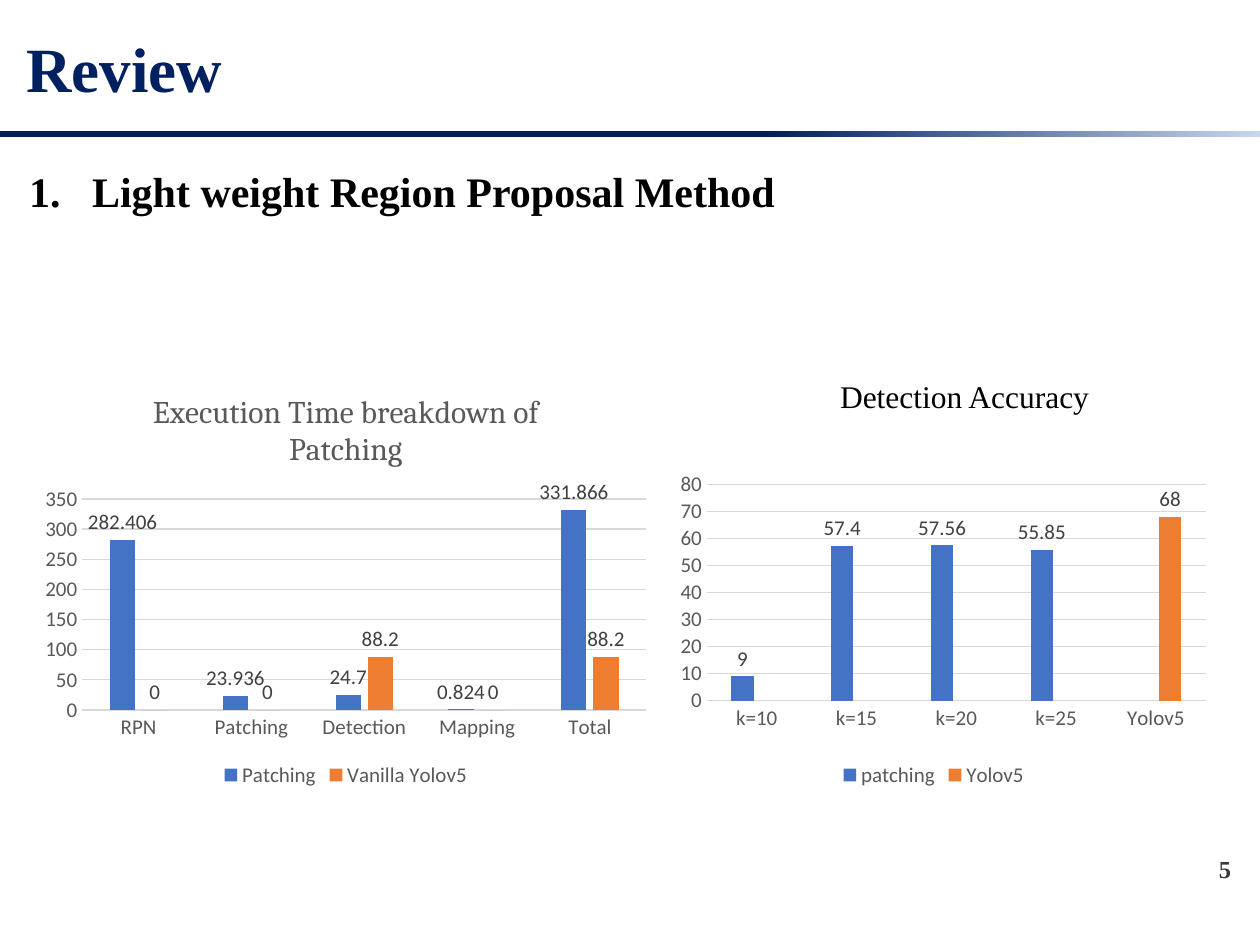
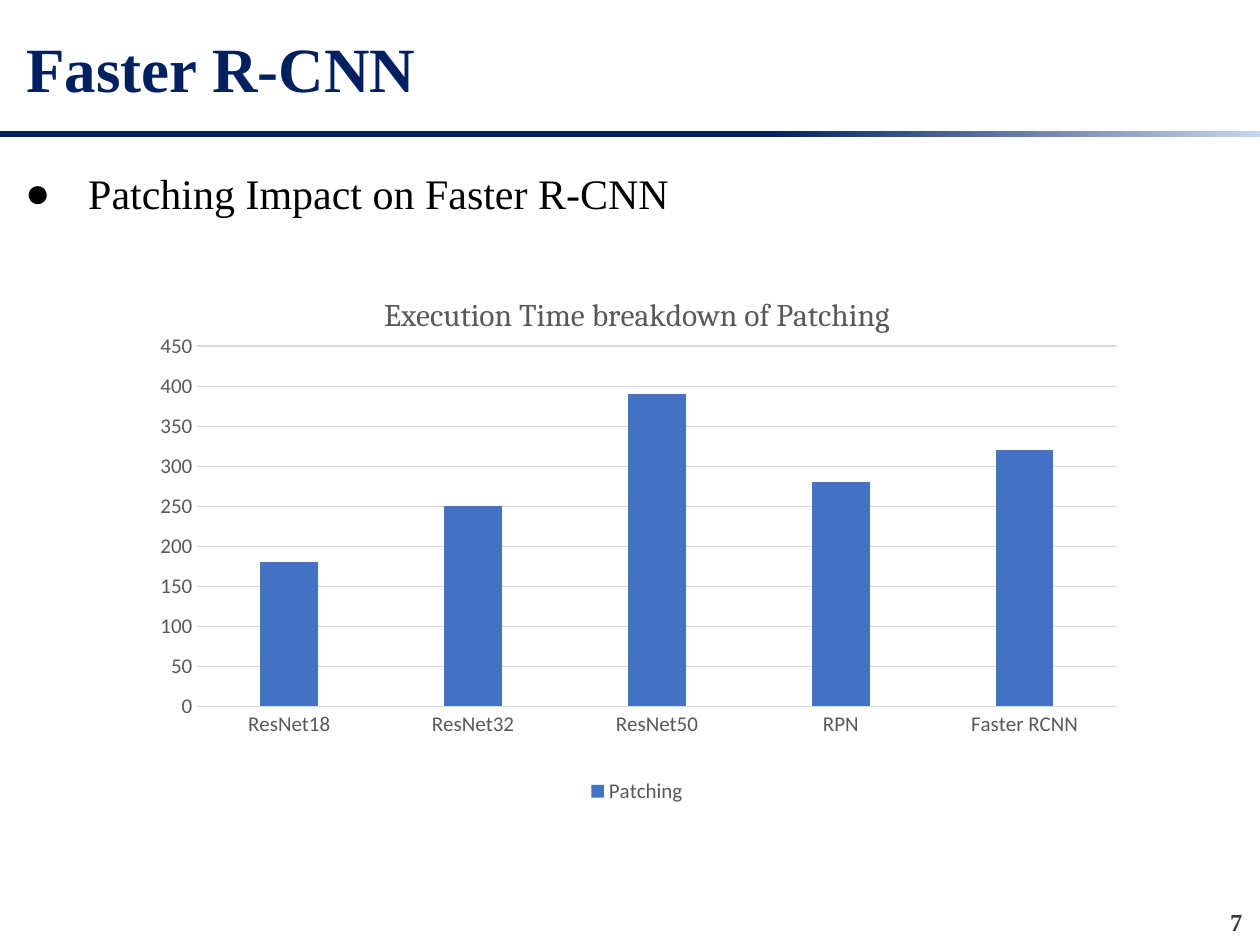
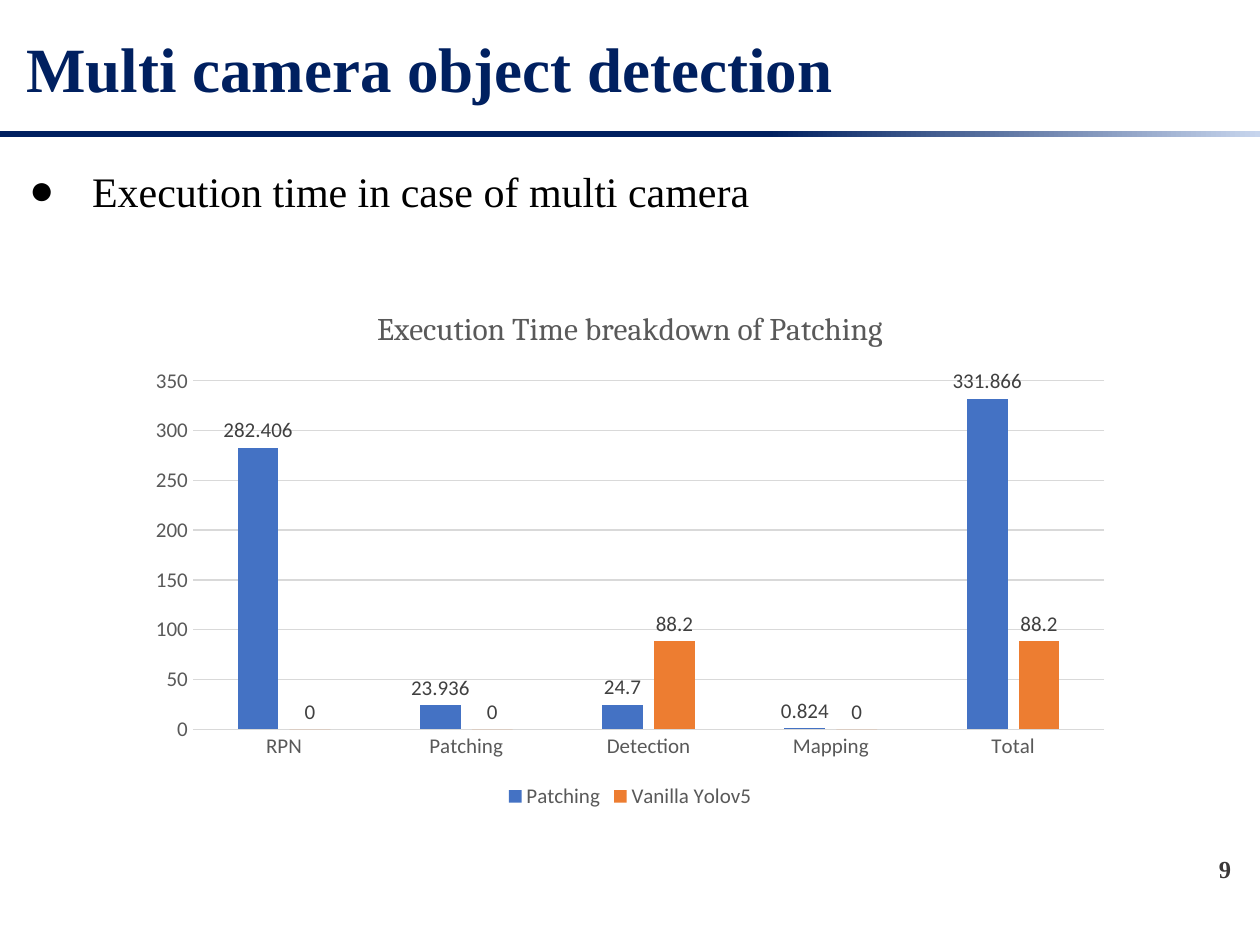
from dataclasses import dataclass
from typing import NamedTuple, Optional

import lxml.etree
import pptx
import pptx.chart.chart
import pptx.chart.data
import pptx.dml.color
import pptx.enum.chart
import pptx.enum.shapes
import pptx.enum.text
import pptx.oxml.ns
import pptx.slide
import pptx.text.text
import pptx.util

COLOURS = {
    "navy": "002060",
    "pale": "C7D5ED",
    "black": "000000",
    "page": "3B3838",
    "axis": "595959",
    "label": "404040",
    "grid": "D9D9D9",
    "blue": "4472C4",
    "orange": "ED7D31",
}
SERIES_COLOURS = ("blue", "orange")
SERIF = "Times New Roman"
SANS = "Calibri"
BREAKDOWN_TITLE = "Execution Time breakdown of Patching"


class Box(NamedTuple):
    """A place on the slide, in points."""
    left: float
    top: float
    width: float
    height: float

    def lengths(self) -> tuple:
        """Give the four measures as slide lengths."""
        return tuple(pptx.util.Pt(measure) for measure in self)


@dataclass(frozen=True)
class BarChart:
    """A clustered column chart and its values."""
    box: Box
    categories: tuple
    series: dict
    title: Optional[str] = None
    labelled: bool = True
    plot: Optional[tuple] = None


@dataclass(frozen=True)
class Page:
    """The content of one slide."""
    title: str
    topic: str
    number: str
    charts: tuple
    numbered: bool = False
    topic_box: Box = Box(9.4, 76.3, 700.6, 45.4)
    number_box: Box = Box(680.4, 484.6, 30.2, 21.6)
    caption: Optional[str] = None


TITLE_BOX = Box(7.9, 9.4, 683.3, 57.6)
RULE_BOX = Box(0, 74.9, 720, 3.6)
CAPTION_BOX = Box(473, 211.7, 163.4, 28.8)

STAGES = ("RPN", "Patching", "Detection", "Mapping", "Total")
STAGE_TIMES = {
    "Patching": (282.406, 23.936, 24.7, 0.824, 331.866),
    "Vanilla Yolov5": (0, 0, 88.2, 0, 88.2),
}

PAGES = (
    Page(
        "Review", "Light weight Region Proposal Method", "5",
        (
            BarChart(Box(18.7, 211.7, 357.8, 241.2), STAGES, STAGE_TIMES,
                     BREAKDOWN_TITLE),
            BarChart(Box(371.5, 265.7, 324, 187.2),
                     ("k=10", "k=15", "k=20", "k=25", "Yolov5"),
                     {"patching": (9, 57.4, 57.56, 55.85, None),
                      "Yolov5": (None, None, None, None, 68)},
                     plot=(0.1, 0.06, 0.88, 0.66)),
        ),
        numbered=True, caption="Detection Accuracy",
    ),
    Page(
        "Faster R-CNN", "Patching Impact on Faster R-CNN", "7",
        (
            BarChart(Box(78.5, 154.8, 571, 307.4),
                     ("ResNet18", "ResNet32", "ResNet50", "RPN", "Faster RCNN"),
                     {"Patching": (180, 250, 390, 280, 320)},
                     BREAKDOWN_TITLE, labelled=False,
                     plot=(0.06, 0.14, 0.92, 0.67)),
        ),
        topic_box=Box(7.2, 77.8, 700.6, 45.4),
        number_box=Box(686.9, 514.8, 30.2, 21.6),
    ),
    Page(
        "Multi camera object detection",
        "Execution time in case of multi camera", "9",
        (
            BarChart(Box(77.8, 162.7, 564.5, 302.4), STAGES, STAGE_TIMES,
                     BREAKDOWN_TITLE),
        ),
    ),
)


def rgb(name: str) -> pptx.dml.color.RGBColor:
    """Look up a colour by its name."""
    return pptx.dml.color.RGBColor.from_string(COLOURS[name])


def style_font(font: pptx.text.text.Font, size: float, colour: str,
               face: str = SANS, bold: bool = False) -> None:
    """Set the face, size, weight and colour of a font."""
    font.name = face
    font.size = pptx.util.Pt(size)
    font.bold = bold
    font.color.rgb = rgb(colour)


def write(frame: pptx.text.text.TextFrame, text: str, size: float, colour: str,
          face: str = SERIF, bold: bool = False) -> pptx.text.text._Paragraph:
    """Write one styled run into the first paragraph of a frame."""
    paragraph = frame.paragraphs[0]
    run = paragraph.add_run()
    run.text = text
    style_font(run.font, size, colour, face, bold)
    return paragraph


def add_rule(slide: pptx.slide.Slide) -> None:
    """Draw the fading rule below the title."""
    rule = slide.shapes.add_shape(
        pptx.enum.shapes.MSO_SHAPE.RECTANGLE, *RULE_BOX.lengths())
    rule.shadow.inherit = False
    rule.line.fill.background()
    rule.fill.gradient()
    rule.fill.gradient_angle = 0
    stops = ((0.61, "navy"), (1, "pale"))
    for stop, (position, colour) in zip(rule.fill.gradient_stops, stops):
        stop.position = position
        stop.color.rgb = rgb(colour)


def add_title(slide: pptx.slide.Slide, text: str) -> None:
    """Fill the title placeholder."""
    title = slide.shapes.title
    title.left, title.top, title.width, title.height = TITLE_BOX.lengths()
    frame = title.text_frame
    frame.auto_size = pptx.enum.text.MSO_AUTO_SIZE.NONE
    frame.vertical_anchor = pptx.enum.text.MSO_ANCHOR.MIDDLE
    paragraph = write(frame, text, 36, "navy", bold=True)
    paragraph.alignment = pptx.enum.text.PP_ALIGN.LEFT


def add_topic(slide: pptx.slide.Slide, page: Page) -> None:
    """Fill the body placeholder with the bulleted or numbered topic."""
    topic = slide.placeholders[1]
    topic.left, topic.top, topic.width, topic.height = page.topic_box.lengths()
    frame = topic.text_frame
    frame.auto_size = pptx.enum.text.MSO_AUTO_SIZE.SHAPE_TO_FIT_TEXT
    paragraph = write(frame, page.topic, 24, "black", bold=page.numbered)
    paragraph.line_spacing = 1.5
    paragraph.space_before = pptx.util.Pt(0)
    properties = paragraph._p.get_or_add_pPr()
    hanging = pptx.util.Pt(36)
    properties.set("marL", str(hanging))
    properties.set("indent", str(-hanging))
    if page.numbered:
        lxml.etree.SubElement(properties, pptx.oxml.ns.qn("a:buAutoNum"),
                              type="arabicPeriod")
    else:
        lxml.etree.SubElement(properties, pptx.oxml.ns.qn("a:buChar"), char="●")


def add_label(slide: pptx.slide.Slide, box: Box, text: str, size: float,
              colour: str, bold: bool = False) -> pptx.text.text._Paragraph:
    """Add a one-line text box."""
    frame = slide.shapes.add_textbox(*box.lengths()).text_frame
    frame.word_wrap = True
    return write(frame, text, size, colour, bold=bold)


def place_plot(chart: pptx.chart.chart.Chart, plot: tuple) -> None:
    """Fix the inner plot area as fractions of the chart."""
    qn = pptx.oxml.ns.qn
    area = chart._chartSpace.find(".//" + qn("c:plotArea"))
    for automatic in area.findall(qn("c:layout")):
        area.remove(automatic)
    layout = lxml.etree.Element(qn("c:layout"))
    area.insert(0, layout)
    manual = lxml.etree.SubElement(layout, qn("c:manualLayout"))
    settings = (("layoutTarget", "inner"), ("xMode", "edge"), ("yMode", "edge"),
                *zip("xywh", plot))
    for tag, setting in settings:
        lxml.etree.SubElement(manual, qn("c:" + tag), val=str(setting))


def style_axes(chart: pptx.chart.chart.Chart) -> None:
    """Give both axes plain labels and thin grey lines."""
    for axis in (chart.category_axis, chart.value_axis):
        axis.major_tick_mark = pptx.enum.chart.XL_TICK_MARK.NONE
        axis.minor_tick_mark = pptx.enum.chart.XL_TICK_MARK.NONE
        style_font(axis.tick_labels.font, 12, "axis")
    chart.value_axis.has_major_gridlines = True
    chart.value_axis.format.line.fill.background()
    for line in (chart.category_axis.format.line,
                 chart.value_axis.major_gridlines.format.line):
        line.color.rgb = rgb("grid")
        line.width = pptx.util.Pt(0.75)


def add_bar_chart(slide: pptx.slide.Slide, bars: BarChart) -> None:
    """Add a clustered column chart."""
    table = pptx.chart.data.CategoryChartData()
    table.categories = bars.categories
    for name, values in bars.series.items():
        table.add_series(name, values)
    chart = slide.shapes.add_chart(
        pptx.enum.chart.XL_CHART_TYPE.COLUMN_CLUSTERED,
        *bars.box.lengths(), table).chart
    style_font(chart.font, 10, "black")

    chart.has_title = bars.title is not None
    if bars.title is not None:
        write(chart.chart_title.text_frame, bars.title, 18, "axis", "Cambria")
        chart.chart_title.include_in_layout = False

    chart.has_legend = True
    chart.legend.position = pptx.enum.chart.XL_LEGEND_POSITION.BOTTOM
    chart.legend.include_in_layout = False
    style_font(chart.legend.font, 12, "axis")
    style_axes(chart)

    columns = chart.plots[0]
    columns.gap_width = 219
    columns.overlap = -27
    columns.vary_by_categories = False
    for series, colour in zip(columns.series, SERIES_COLOURS):
        series.format.fill.solid()
        series.format.fill.fore_color.rgb = rgb(colour)
        series.invert_if_negative = False
        if bars.labelled:
            labels = series.data_labels
            labels.show_value = True
            labels.position = pptx.enum.chart.XL_LABEL_POSITION.OUTSIDE_END
            style_font(labels.font, 12, "label")
    if bars.plot is not None:
        place_plot(chart, bars.plot)


def add_page(deck, page: Page) -> None:
    """Build one slide."""
    slide = deck.slides.add_slide(deck.slide_layouts[1])
    add_rule(slide)
    add_title(slide, page.title)
    number = add_label(slide, page.number_box, page.number, 14, "page", bold=True)
    number.alignment = pptx.enum.text.PP_ALIGN.RIGHT
    add_topic(slide, page)
    for bars in page.charts:
        add_bar_chart(slide, bars)
    if page.caption is not None:
        add_label(slide, CAPTION_BOX, page.caption, 18, "black")


def main() -> None:
    """Build the deck and save it."""
    deck = pptx.Presentation()
    deck.slide_width = pptx.util.Pt(720)
    deck.slide_height = pptx.util.Pt(540)
    for page in PAGES:
        add_page(deck, page)
    deck.save("out.pptx")


main()
